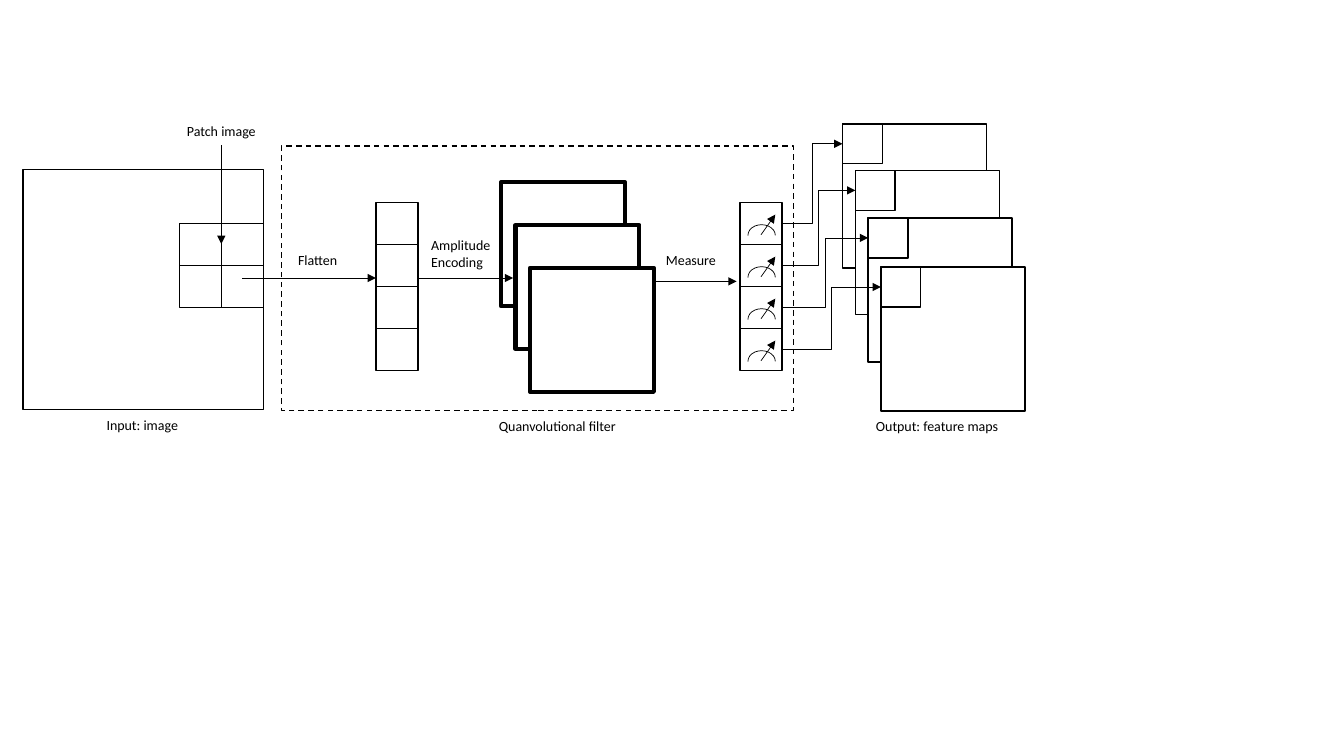
from dataclasses import dataclass
from lxml.etree import SubElement
from pptx import Presentation
from pptx.dml.color import RGBColor
from pptx.enum.dml import MSO_LINE
from pptx.enum.shapes import MSO_CONNECTOR, MSO_SHAPE
from pptx.enum.text import MSO_AUTO_SIZE, PP_ALIGN
from pptx.oxml.ns import qn
from pptx.util import Inches, Pt


@dataclass(frozen=True)
class Theme:
    ink: RGBColor = RGBColor(0, 0, 0)
    paper: RGBColor = RGBColor(255, 255, 255)
    font: str = "Calibri"
    label_size: float = 10
    hairline: float = 0.5
    outline: float = 1
    heavy: float = 3


THEME = Theme()
WIDTH, HEIGHT = Inches(13.333), Inches(7.5)
COLUMNS = 32  # a 32 by 18 grid of squares, one square per matrix cell
UNIT = WIDTH / COLUMNS


def grid(*lengths):
    return [round(length * UNIT) for length in lengths]


def add_outline(slide, left, top, width, height, *, weight=THEME.outline,
                filled=False, dashed=False, kind=MSO_SHAPE.RECTANGLE):
    outline = slide.shapes.add_shape(kind, *grid(left, top, width, height))
    outline.shadow.inherit = False
    if filled:
        outline.fill.solid()
        outline.fill.fore_color.rgb = THEME.paper
    else:
        outline.fill.background()
    outline.line.color.rgb = THEME.ink
    outline.line.width = Pt(weight)
    if dashed:
        outline.line.dash_style = MSO_LINE.DASH
    return outline


def add_arrow(slide, start, end, kind=MSO_CONNECTOR.STRAIGHT):
    arrow = slide.shapes.add_connector(kind, *grid(*start, *end))
    arrow.line.color.rgb = THEME.ink
    arrow.line.width = Pt(THEME.hairline)
    SubElement(arrow.line._get_or_add_ln(), qn("a:tailEnd"), type="triangle")
    SubElement(arrow._element.spPr, qn("a:effectLst"))


def add_label(slide, text, left, top, width, *, height=0.64, align=PP_ALIGN.LEFT):
    label = slide.shapes.add_textbox(*grid(left, top, width, height))
    frame = label.text_frame
    frame.word_wrap = True
    frame.auto_size = MSO_AUTO_SIZE.SHAPE_TO_FIT_TEXT
    frame.text = text
    for paragraph in frame.paragraphs:
        paragraph.alignment = align
        paragraph.font.name = THEME.font
        paragraph.font.size = Pt(THEME.label_size)
        paragraph.font.color.rgb = THEME.ink


def add_cells(slide, left, top, columns, rows):
    for column in range(columns):
        for row in range(rows):
            add_outline(slide, left + column, top + row, 1, 1)


# Input image with its 2 by 2 patch
def draw_input(slide, left, top, side):
    add_outline(slide, left, top, side, side)
    patch_left, patch_top = left + side - 2, top + 1.29
    add_cells(slide, patch_left, patch_top, 2, 2)
    middle = patch_left + 1
    add_label(slide, "Patch image", middle - 1.39, top - 1.22, 2.78,
              align=PP_ALIGN.CENTER)
    add_arrow(slide, (middle, top - 0.57), (middle, patch_top + 0.49))
    add_label(slide, "Input: image", left + 1.75, top + side + 0.04, 2.76)


# Measurement dial in one cell
def draw_gauge(slide, left, top):
    dial = add_outline(slide, left + 0.19, top + 0.53, 0.65, 0.5,
                       weight=THEME.hairline, kind=MSO_SHAPE.ARC)
    dial.adjustments[0], dial.adjustments[1] = 106.846, 0.458
    add_arrow(slide, (left + 0.5, top + 0.77), (left + 0.84, top + 0.29))


# Filter: flattened vector, stacked circuits, measured vector
def draw_filter(slide, left, top, width, height):
    vector_left, measured_left = left + 2.25, left + 10.92
    vector_top, flow = top + 1.34, top + 3.14
    add_cells(slide, vector_left, vector_top, 1, 4)
    add_cells(slide, measured_left, vector_top, 1, 4)
    for row in range(4):
        draw_gauge(slide, measured_left, vector_top + row)

    def draw_circuit(level):
        add_outline(slide, left + 5.23 + 0.345 * level, top + 0.86 + 1.02 * level,
                    2.95, 2.95, weight=THEME.heavy, filled=True)

    draw_circuit(0)
    draw_circuit(1)
    add_arrow(slide, (left - 0.93, flow), (vector_left, flow))
    add_arrow(slide, (vector_left + 1, flow), (left + 5.52, flow))
    add_arrow(slide, (left + 8.54, flow + 0.08), (measured_left - 0.08, flow + 0.08))
    draw_circuit(2)

    add_label(slide, "Flatten", left + 0.16, top + 2.38, 2.02)
    add_label(slide, "Amplitude\nEncoding", left + 3.33, top + 2.04, 2.16, height=1.05)
    add_label(slide, "Measure", left + 8.92, top + 2.38, 2.54)
    add_outline(slide, left, top, width, height, dashed=True)
    add_label(slide, "Quanvolutional filter", left + 4.94, top + height + 0.05, 4)
    return measured_left + 1, vector_top


# Output maps, each fed by one measured cell
def draw_output(slide, left, top, side, source_left, source_top):
    window = 0.95
    for row, drop in enumerate((0, 1.11, 2.24, 3.41)):
        map_left, map_top = left + 0.305 * row, top + drop
        for size in (side, window):
            add_outline(slide, map_left, map_top, size, size, filled=True)
        add_arrow(slide, (source_left, source_top + row + 0.5),
                  (map_left, map_top + window / 2), MSO_CONNECTOR.ELBOW)
    add_label(slide, "Output: feature maps", left + 0.56, map_top + side + 0.03, 4.2)


def main():
    deck = Presentation()
    deck.slide_width, deck.slide_height = WIDTH, HEIGHT
    slide = deck.slides.add_slide(deck.slide_layouts[6])
    draw_input(slide, 0.55, 4.03, 5.72)
    measured_right, measured_top = draw_filter(slide, 6.7, 3.48, 12.19, 6.29)
    draw_output(slide, 20.06, 2.95, 3.43, measured_right, measured_top)
    deck.save("out.pptx")


if __name__ == "__main__":
    main()
